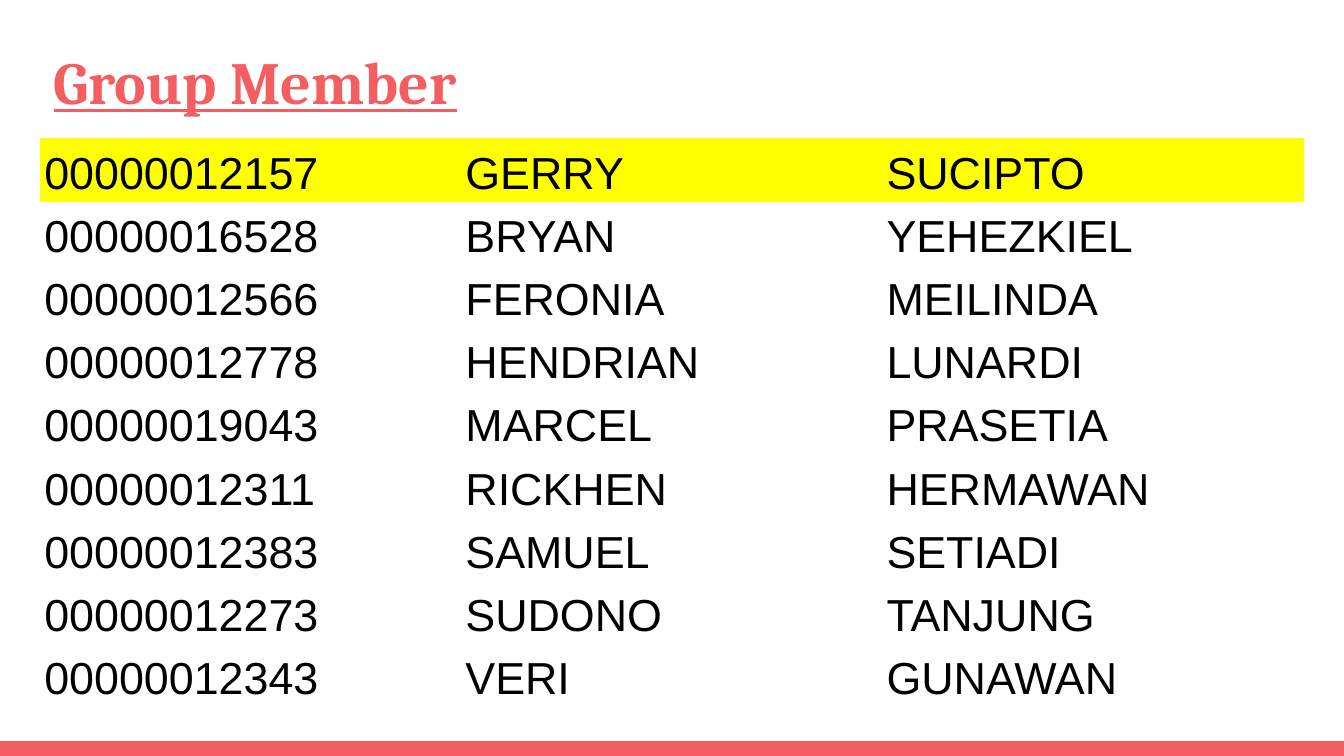
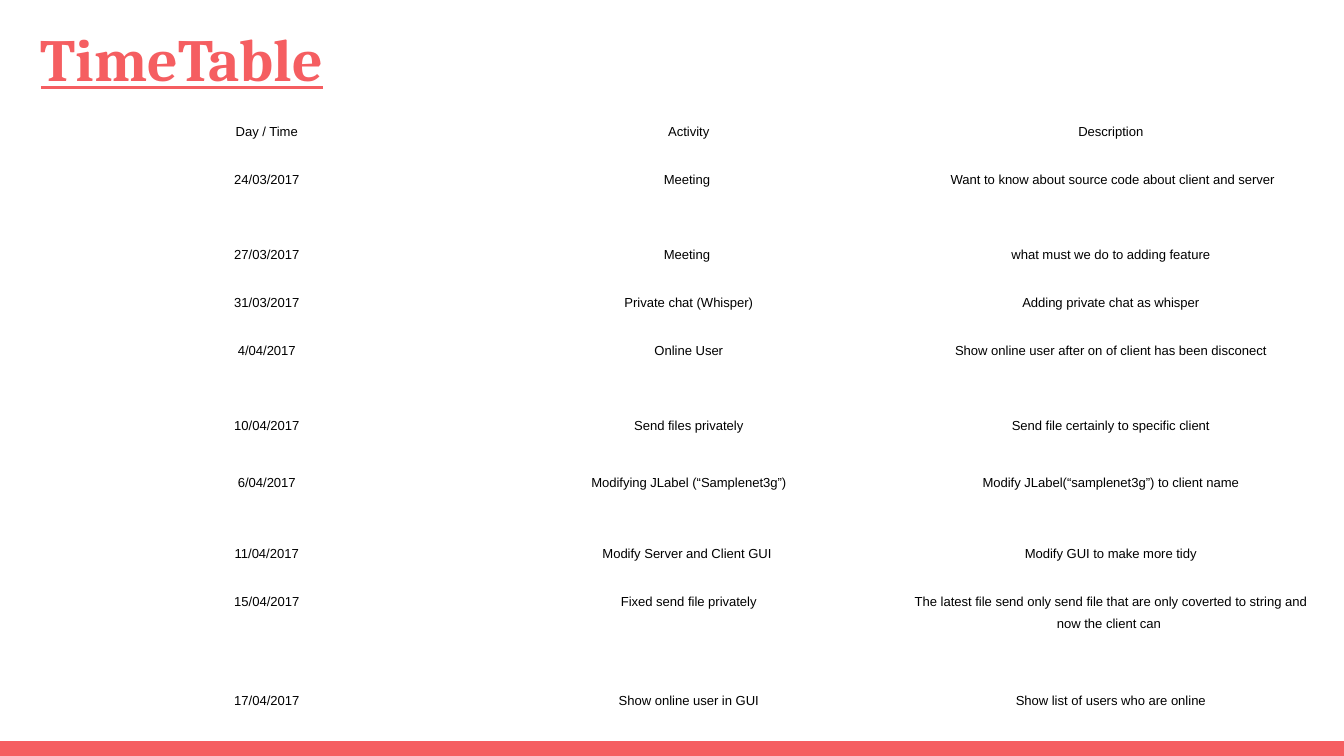
from pptx import Presentation
from pptx.dml.color import RGBColor
from pptx.enum.shapes import MSO_SHAPE
from pptx.enum.text import MSO_ANCHOR, PP_ALIGN
from pptx.oxml.ns import qn
from pptx.util import Inches, Pt

CORAL = RGBColor(0xF5, 0x5E, 0x61)
YELLOW = RGBColor(0xFF, 0xFF, 0x00)
BLACK = RGBColor(0x00, 0x00, 0x00)
WHITE = RGBColor(0xFF, 0xFF, 0xFF)

PLAIN = "{2D5ABB26-0587-4C30-8999-92F81FD0307C}"  # table style: no fill, no grid
COLS, ROWS = 100, 56.25  # square grid cells over the slide
BAND = 1.1
SIDES = ("margin_left", "margin_top", "margin_right", "margin_bottom")

TITLE = {"name": "Cambria", "size": Pt(32), "bold": True, "underline": True}
ROSTER = {
    "font": {"name": "Arial", "size": Pt(24)},
    "para": {"line_spacing": 1.05},
    "anchor": MSO_ANCHOR.BOTTOM,
    "pads": (0.3, 0.2, 0.3, 0.2),
}
AGENDA = {
    "font": {"name": "Arial", "size": Pt(7)},
    "para": {"line_spacing": 1.5, "space_after": Pt(12), "alignment": PP_ALIGN.CENTER},
    "anchor": MSO_ANCHOR.TOP,
    "pads": (0.6,) * 4,
}

MEMBERS = [
    ("00000012157", "GERRY", "SUCIPTO"),
    ("00000016528", "BRYAN", "YEHEZKIEL"),
    ("00000012566", "FERONIA", "MEILINDA"),
    ("00000012778", "HENDRIAN", "LUNARDI"),
    ("00000019043", "MARCEL", "PRASETIA"),
    ("00000012311", "RICKHEN", "HERMAWAN"),
    ("00000012383", "SAMUEL", "SETIADI"),
    ("00000012273", "SUDONO", "TANJUNG"),
    ("00000012343", "VERI", "GUNAWAN"),
]
LOW, MID = 3.57, 5.58
# Row height in grid rows, then the cells
EVENTS = [
    (LOW, "Day / Time", "Activity", "Description"),
    (MID, "24/03/2017", "Meeting ",
     " Want to know about source code about client and server"),
    (LOW, "27/03/2017", "Meeting ", "what must we do to adding feature"),
    (LOW, "31/03/2017", "Private chat (Whisper)", "Adding private chat as whisper"),
    (MID, "4/04/2017", "Online User",
     "Show online user after on of client has been disconect"),
    (4.24, "10/04/2017", "Send files privately", "Send file certainly to specific client"),
    (5.28, "6/04/2017", "Modifying JLabel (“Samplenet3g”)",
     "Modify JLabel(“samplenet3g”) to client name"),
    (LOW, "11/04/2017", "Modify Server and Client GUI ", "Modify GUI to make more tidy"),
    (7.37, "15/04/2017", "Fixed send file privately",
     "The latest file send only send file that are only coverted to string "
     "and now the client can "),
    (LOW, "17/04/2017", "Show online user in GUI", "Show list of users who are online"),
]


def apply(item, values):
    for key, value in values.items():
        setattr(item, key, value)


class Deck:
    def __init__(self):
        self.prs = Presentation()
        self.unit = Inches(10) / COLS
        apply(self.prs, {"slide_width": self.size(COLS), "slide_height": self.size(ROWS)})
        self.slide = None

    def size(self, cells):
        return round(cells * self.unit)

    def place(self, *cells):
        return [self.size(cell) for cell in cells]

    def page(self, title, left, top, height):
        self.slide = self.prs.slides.add_slide(self.prs.slide_layouts[6])
        fill = self.slide.background.fill
        fill.solid()
        fill.fore_color.rgb = WHITE
        self.band()
        self.title(title, left, top, height)

    def band(self):
        box = self.place(0, ROWS - BAND, COLS, BAND)
        bar = self.slide.shapes.add_shape(MSO_SHAPE.RECTANGLE, *box)
        bar.shadow.inherit = False
        bar.fill.solid()
        bar.fill.fore_color.rgb = CORAL
        bar.line.fill.background()

    def title(self, text, left, top, height):
        box = self.slide.shapes.add_textbox(*self.place(left, top, 93.2, height))
        frame = box.text_frame
        apply(frame, {"word_wrap": True, "vertical_anchor": MSO_ANCHOR.TOP})
        apply(frame, dict.fromkeys(SIDES, self.size(1)))
        run = frame.paragraphs[0].add_run()
        run.text = text
        apply(run.font, TITLE)
        run.font.color.rgb = CORAL

    def table(self, data, tall, left, top, width, style, marked=()):
        """Fill a plain table; marked holds the indices of highlighted rows."""
        box = self.place(left, top, width, sum(tall))
        frame = self.slide.shapes.add_table(len(data), len(data[0]), *box)
        grid = frame.table
        apply(grid, {"first_row": False, "horz_banding": False})
        next(frame.element.iter(qn("a:tableStyleId"))).text = PLAIN
        for r, texts in enumerate(data):
            grid.rows[r].height = self.size(tall[r])
            for c, text in enumerate(texts):
                self.cell(grid.cell(r, c), text, style, r in marked)

    def cell(self, cell, text, style, marked):
        cell.vertical_anchor = style["anchor"]
        apply(cell, dict(zip(SIDES, self.place(*style["pads"]))))
        if marked:
            cell.fill.solid()
            cell.fill.fore_color.rgb = YELLOW
        else:
            cell.fill.background()
        para = cell.text_frame.paragraphs[0]
        apply(para, style["para"])
        run = para.add_run()
        run.text = text
        apply(run.font, style["font"])
        run.font.color.rgb = BLACK


def main():
    deck = Deck()
    deck.page("Group Member", 3, 2.33, 6.3)
    deck.table(MEMBERS, [4.7] * len(MEMBERS), 3, 10.3, 94, ROSTER, marked={0})

    deck.page("TimeTable", 2.05, 0.63, 6.8)
    tall = [event[0] for event in EVENTS]
    deck.table([event[1:] for event in EVENTS], tall, 4.15, 8.15, 94.2, AGENDA)
    deck.prs.save("out.pptx")


if __name__ == "__main__":
    main()
